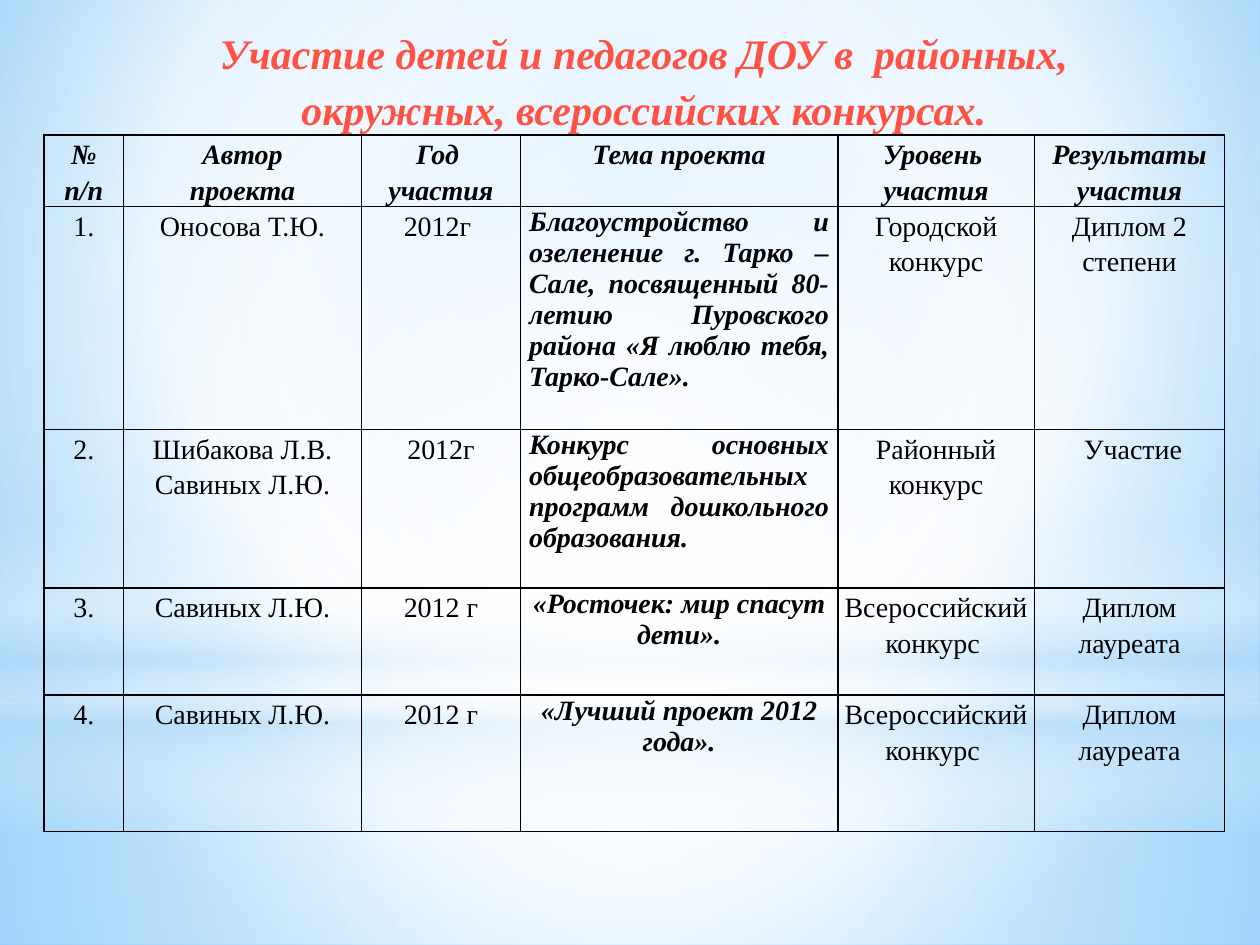
from pptx import Presentation
from pptx.dml.color import RGBColor
from pptx.enum.shapes import MSO_SHAPE
from pptx.enum.text import MSO_ANCHOR, PP_ALIGN
from pptx.oxml import parse_xml
from pptx.oxml.ns import nsdecls, qn
from pptx.util import Inches, Pt

RECT, OVAL = MSO_SHAPE.RECTANGLE, MSO_SHAPE.OVAL
CENTER, JUSTIFY = PP_ALIGN.CENTER, PP_ALIGN.JUSTIFY
BLACK = RGBColor(0x00, 0x00, 0x00)
CORAL = RGBColor(0xFF, 0x52, 0x44)
FONT = "Times New Roman"
MIDDLE = (50, 50, 50, 50)


def set_gradient(parent, stops, focus=None):
    """Replace an empty fill by stops of (position, colour, opacity)."""
    gs = "".join(
        f'<a:gs pos="{pos * 1000}"><a:srgbClr val="{color}">'
        f'<a:alpha val="{alpha * 1000}"/></a:srgbClr></a:gs>'
        for pos, color, alpha in stops)
    if focus:
        sides = " ".join(f'{k}="{v * 1000}"' for k, v in zip("ltrb", focus))
        kind = f'<a:path path="circle"><a:fillToRect {sides}/></a:path>'
    else:
        kind = '<a:lin ang="5400000" scaled="0"/>'
    grad = parse_xml(f'<a:gradFill {nsdecls("a")} rotWithShape="1">'
                     f'<a:gsLst>{gs}</a:gsLst>{kind}</a:gradFill>')
    parent.replace(parent.find(qn("a:noFill")), grad)


def add_text(tf, text, size, color, bold, align, spacing):
    for i, line in enumerate(text.split("\n")):
        p = tf.paragraphs[0] if i == 0 else tf.add_paragraph()
        p.alignment = align
        p.line_spacing = spacing
        p.space_before = p.space_after = Pt(0)
        r = p.add_run()
        r.text = line
        r.font.name = FONT
        r.font.size = Pt(size)
        r.font.bold = r.font.italic = bold
        r.font.color.rgb = color


prs = Presentation()
prs.slide_width, prs.slide_height = Inches(10), Inches(7.5)
s = prs.slides.add_slide(prs.slide_layouts[5])

# Background
s.background.fill.background()
set_gradient(s.element.find(".//" + qn("p:bgPr")),
             [(0, "9ED5FF", 100), (60, "FFFFFF", 100), (100, "5BB9FF", 100)],
             (20, 10, 20, 60))

# Soft light layers: shape, left, top, width, height, stops, focus
LAYERS = [
    (RECT, 0, 5.58, 10, 1.92,
     [(0, "FFFFFF", 91), (37, "FFFFFF", 76), (100, "B4DCFA", 79)], MIDDLE),
    (RECT, 0, 0, 10, 5.58,
     [(0, "FFFFFF", 89), (48, "FFFFFF", 62), (100, "B4DCFA", 79)], MIDDLE),
    (RECT, 0, 4.12, 10, 2.5,
     [(0, "FFFFFF", 0), (29, "FFFFFF", 30), (45, "B4DCFA", 40),
      (55, "FFFFFF", 26), (65, "B4DCFA", 60), (100, "FFFFFF", 0)], None),
    (OVAL, 0, 1.75, 10, 5.58,
     [(0, "FFFFFF", 100), (56, "FFFFFF", 0)], MIDDLE),
]
for kind, x, y, w, h, stops, focus in LAYERS:
    sp = s.shapes.add_shape(kind, Inches(x), Inches(y), Inches(w), Inches(h))
    sp.shadow.inherit = False
    sp.line.fill.background()
    sp.fill.background()
    set_gradient(sp.element.spPr, stops, focus)

# Table of contests
COLS = [0.63, 1.89, 1.26, 2.52, 1.56, 1.51]
HEIGHTS = [0.56, 1.77, 1.26, 0.85, 1.08]
TOPIC = 3
ROWS = [
    ["№\nп/п", "Автор\nпроекта", "Год \nучастия", "Тема проекта",
     "Уровень \nучастия", "Результаты участия"],
    ["1.", "Оносова Т.Ю.", "2012г ",
     "Благоустройство и озеленение г. Тарко – Сале, посвященный 80-летию "
     "Пуровского района «Я люблю тебя, Тарко-Сале».",
     "Городской конкурс", "Диплом 2 степени"],
    ["2.", "Шибакова Л.В.\nСавиных Л.Ю.", "2012г",
     "Конкурс основных общеобразовательных программ дошкольного образования.",
     "Районный конкурс", "\u00a0Участие"],
    ["3.", "Савиных Л.Ю.", "2012 г", "«Росточек: мир спасут дети».",
     "Всероссийский конкурс ", "Диплом лауреата"],
    ["4.", "Савиных Л.Ю.", "2012 г", "«Лучший проект 2012 года».",
     "Всероссийский конкурс ", "Диплом лауреата"],
]
table = s.shapes.add_table(len(ROWS), len(COLS), Inches(0.35), Inches(1.07),
                           Inches(sum(COLS)), Inches(sum(HEIGHTS))).table
table.first_row = table.horz_banding = False
for col, w in zip(table.columns, COLS):
    col.width = Inches(w)
for i, (row, texts) in enumerate(zip(table.rows, ROWS)):
    row.height = Inches(HEIGHTS[i])
    for j, (cell, text) in enumerate(zip(row.cells, texts)):
        cell.margin_left = cell.margin_right = Inches(0.07 if i < 3 else 0.03)
        cell.margin_top = cell.margin_bottom = 0
        topic = i > 0 and j == TOPIC
        add_text(cell.text_frame, text, 16, BLACK, i == 0 or topic,
                 JUSTIFY if topic and i < 3 else CENTER,
                 1.0 if topic else 1.15)
        tcPr = cell._tc.get_or_add_tcPr()
        for side in "LRTB":
            tcPr.append(parse_xml(
                f'<a:ln{side} {nsdecls("a")} w="12700"><a:solidFill>'
                f'<a:srgbClr val="{BLACK}"/></a:solidFill></a:ln{side}>'))
        cell.fill.background()

# Title, in front of the light layers
title = s.shapes.title
title.left, title.top = Inches(1.61), Inches(0.13)
title.width, title.height = Inches(7), Inches(1.21)
title.element.getparent().append(title.element)
tf = title.text_frame
tf.word_wrap = False
tf.vertical_anchor = MSO_ANCHOR.TOP
add_text(tf, "Участие детей и педагогов ДОУ в  районных,\n"
             "окружных, всероссийских конкурсах.", 24, CORAL, True, CENTER, 1.1)

prs.save("out.pptx")
